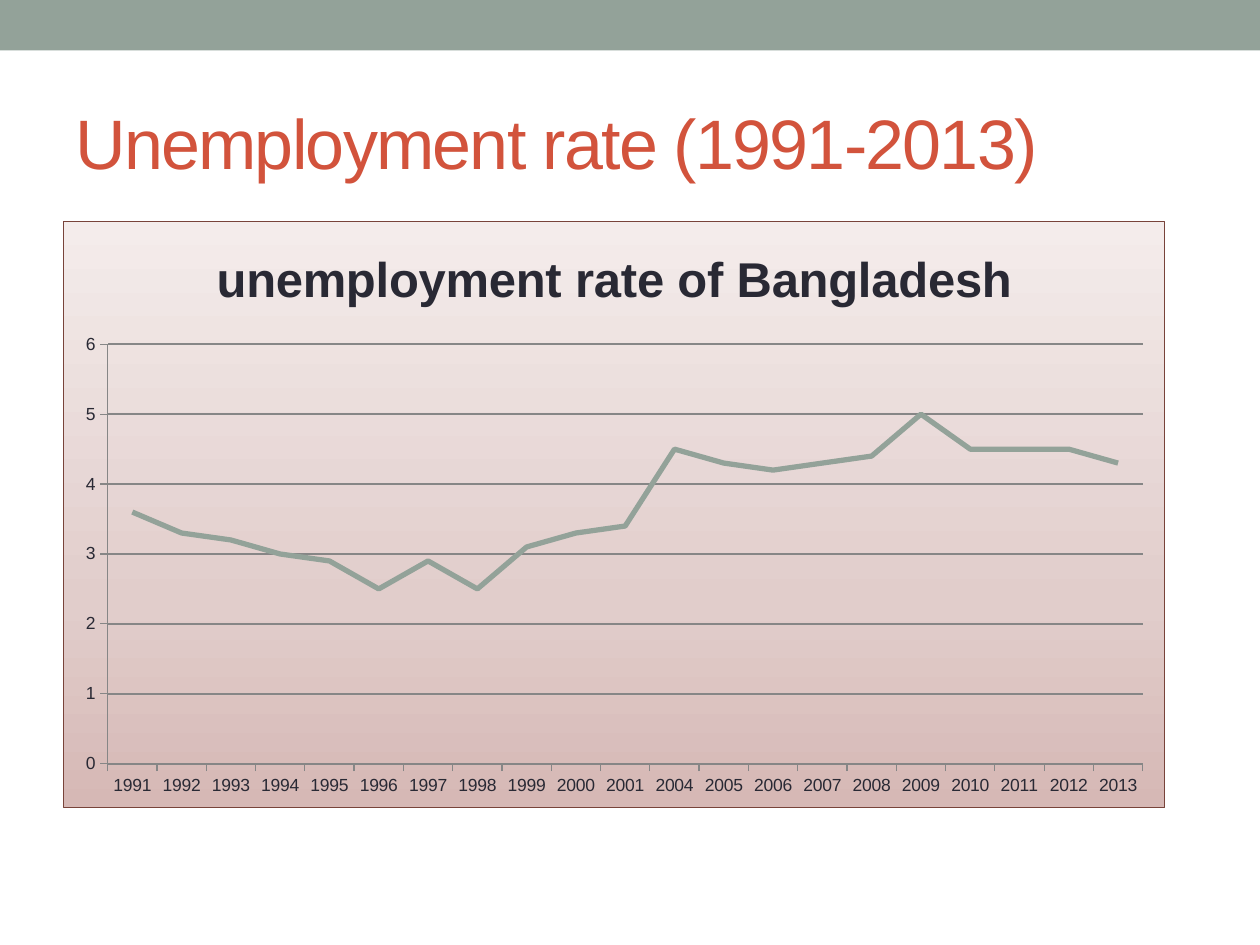
from dataclasses import dataclass

from lxml import etree
from pptx import Presentation
from pptx.chart.data import CategoryChartData
from pptx.dml.color import RGBColor as RGB
from pptx.enum.chart import XL_CHART_TYPE as CT, XL_MARKER_STYLE as MS, XL_TICK_MARK as TM
from pptx.enum.shapes import MSO_SHAPE as SHAPE
from pptx.enum.text import MSO_ANCHOR as ANCHOR
from pptx.oxml import parse_xml
from pptx.oxml.ns import qn
from pptx.util import Pt


@dataclass(frozen=True)
class Theme:
    font: str = "Arial"
    sage: str = "93A299"
    red: str = "D2533C"
    ink: str = "292934"
    grid: str = "868686"
    border: str = "78433A"
    gradient: tuple = ((0, "D6B8B5"), (35, "E1CDCB"), (100, "F4ECEB"))
    title: int = 40
    chart_title: int = 28
    label: int = 10


T = Theme()
YEARS = [*range(1991, 2002), *range(2004, 2014)]
RATES = [3.6, 3.3, 3.2, 3, 2.9, 2.5, 2.9, 2.5, 3.1, 3.3, 3.4,
         4.5, 4.3, 4.2, 4.3, 4.4, 5, 4.5, 4.5, 4.5, 4.3]
PLOT = {"x": 0.04, "y": 0.21, "w": 0.94, "h": 0.715}  # shares of the chart box


def set_font(font, size, color, bold=False):
    for name, value in {"name": T.font, "size": Pt(size), "bold": bold}.items():
        setattr(font, name, value)
    font.color.rgb = RGB.from_string(color)


def set_line(line, color, width):
    line.color.rgb = RGB.from_string(color)
    line.width = Pt(width)


def add_band(s, box):
    sp = s.shapes.add_shape(SHAPE.RECTANGLE, *map(Pt, box))
    sp.shadow.inherit = False
    sp.fill.solid()
    sp.fill.fore_color.rgb = RGB.from_string(T.sage)
    sp.line.fill.background()


def add_title(s, box, text):
    tf = s.shapes.add_textbox(*map(Pt, box)).text_frame
    tf.word_wrap = True
    tf.vertical_anchor = ANCHOR.MIDDLE
    r = tf.paragraphs[0].add_run()
    r.text = text
    set_font(r.font, T.title, T.red)
    r.font._element.set("spc", "-100")


def style_chart_area(chart):
    """Gradient background, thin border and fixed plot area."""
    stops = "".join(f'<a:gs pos="{pos * 1000}"><a:srgbClr val="{color}"/></a:gs>'
                    for pos, color in T.gradient)
    root = chart._chartSpace
    root.find(qn("c:chart")).addnext(parse_xml(
        '<c:spPr xmlns:c="http://schemas.openxmlformats.org/drawingml/2006/chart"'
        ' xmlns:a="http://schemas.openxmlformats.org/drawingml/2006/main">'
        f'<a:gradFill><a:gsLst>{stops}</a:gsLst><a:lin ang="16200000" scaled="0"/></a:gradFill>'
        f'<a:ln w="{Pt(0.75)}"><a:solidFill><a:srgbClr val="{T.border}"/></a:solidFill></a:ln>'
        '</c:spPr>'))

    plot_area = root.find(".//" + qn("c:plotArea"))
    for old in plot_area.findall(qn("c:layout")):
        plot_area.remove(old)
    layout = etree.Element(qn("c:layout"))
    manual = etree.SubElement(layout, qn("c:manualLayout"))
    values = {"layoutTarget": "inner", "xMode": "edge", "yMode": "edge", **PLOT}
    for name, value in values.items():
        etree.SubElement(manual, qn("c:" + name)).set("val", str(value))
    plot_area.insert(0, layout)


def add_rate_chart(s, box, title):
    data = CategoryChartData()
    data.categories = [str(year) for year in YEARS]
    data.add_series("Series 1", RATES)
    chart = s.shapes.add_chart(CT.LINE, *map(Pt, box), data).chart
    set_font(chart.font, T.label, T.ink)
    chart.has_legend = False

    # Chart title
    chart.has_title = True
    p = chart.chart_title.text_frame.paragraphs[0]
    r = p.add_run()
    r.text = title
    set_font(r.font, T.chart_title, T.ink, bold=True)

    # Axes and gridlines
    for axis in (chart.category_axis, chart.value_axis):
        axis.major_tick_mark = TM.OUTSIDE
        axis.minor_tick_mark = TM.NONE
        set_line(axis.format.line, T.grid, 0.75)
    scale = {"minimum_scale": 0, "maximum_scale": 6, "major_unit": 1,
             "has_major_gridlines": True}
    for name, value in scale.items():
        setattr(chart.value_axis, name, value)
    chart.value_axis.tick_labels.number_format = "0"
    chart.value_axis.tick_labels.number_format_is_linked = False
    set_line(chart.value_axis.major_gridlines.format.line, T.grid, 1)

    # Line
    plot = chart.plots[0]
    plot.vary_by_categories = False
    series = plot.series[0]
    series.smooth = False
    series.marker.style = MS.NONE
    set_line(series.format.line, T.sage, 3)
    style_chart_area(chart)


def main():
    prs = Presentation()
    prs.slide_width, prs.slide_height = Pt(720), Pt(540)
    s = prs.slides.add_slide(prs.slide_layouts[6])
    add_band(s, (0, 0, 720, 28.8))
    add_title(s, (36, 42, 648, 78), "Unemployment rate (1991-2013)")
    add_rate_chart(s, (36, 126, 630, 336), "unemployment rate of Bangladesh")
    prs.save("out.pptx")


if __name__ == "__main__":
    main()
